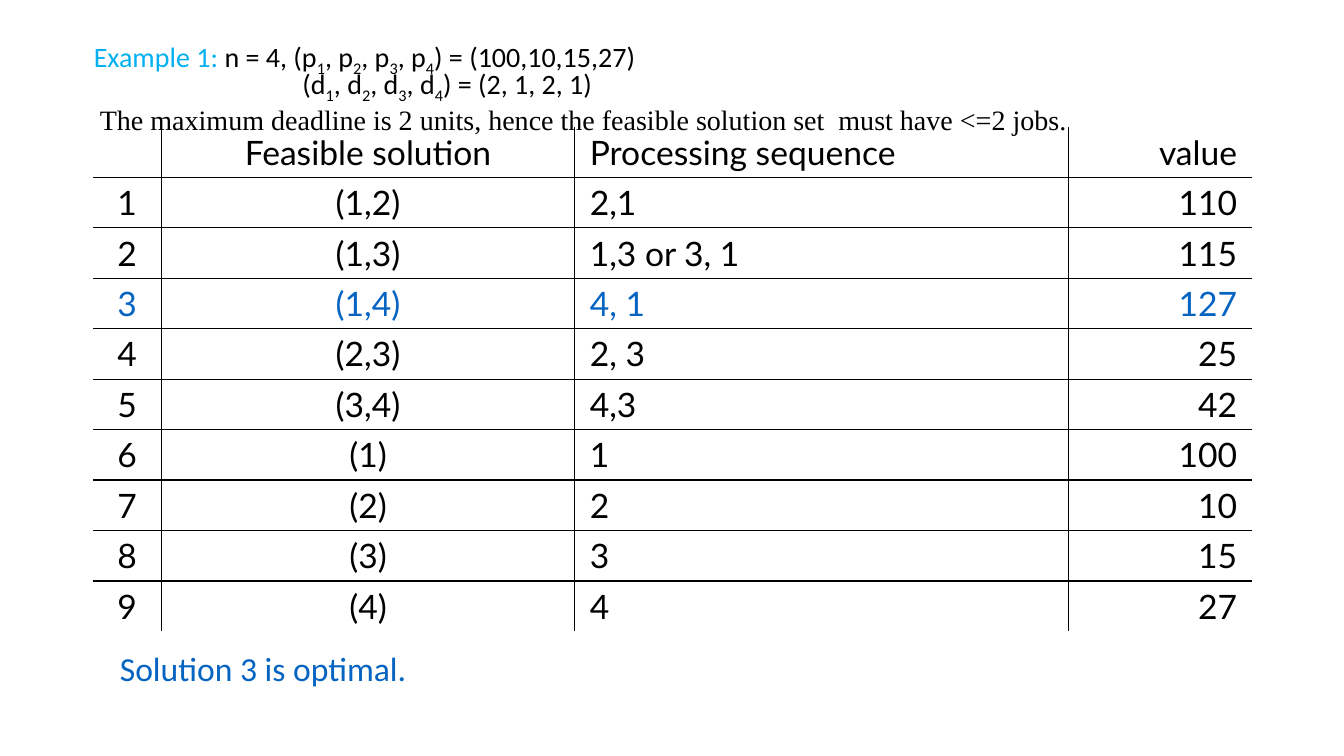
"""Job sequencing with deadlines: the feasible solutions of one example."""
from lxml import etree
from pptx import Presentation
from pptx.dml.color import RGBColor
from pptx.enum import text
from pptx.oxml import ns
from pptx.util import Inches, Pt

BLACK = RGBColor(0x00, 0x00, 0x00)
BLUE = RGBColor(0x05, 0x63, 0xC1)
CYAN = RGBColor(0x00, 0xB0, 0xF0)
ALIGN = text.PP_ALIGN
SIDES = [ALIGN.CENTER, ALIGN.CENTER, ALIGN.LEFT, ALIGN.RIGHT]
WIDTHS = [0.68, 4.1, 4.9, 1.82]
HIGH = 0.5
BEST = 3
HEAD = ["", "Feasible solution", "Processing sequence", "value"]
JOBS = [
    ("(1,2)", "2,1", 110),
    ("(1,3)", "1,3 or 3, 1", 115),
    ("(1,4)", "4, 1", 127),
    ("(2,3)", "2, 3", 25),
    ("(3,4)", "4,3", 42),
    ("(1)", "1", 100),
    ("(2)", "2", 10),
    ("(3)", "3", 15),
    ("(4)", "4", 27),
]


def style(item, form):
    for name, value in form.items():
        setattr(item, name, value)


def add_run(para, words, size, face, color):
    run = para.add_run()
    run.text = words
    style(run.font, {"size": Pt(size), "name": face})
    run.font.color.rgb = color
    return run


def add_math(para, words):
    first, *rest = words.split("_")
    add_run(para, first, 20, "Calibri", BLACK)
    for part in rest:
        sub = add_run(para, part[0], 20, "Calibri", BLACK)
        sub.font._element.set("baseline", "-25000")
        add_run(para, part[1:], 20, "Calibri", BLACK)


def set_para(para, left, form):
    props = para._p.get_or_add_pPr()
    props.set("marL", str(Inches(left)))
    props.set("indent", "0")
    style(para, form)
    etree.SubElement(props, ns.qn("a:buNone"))


def add_intro(slide):
    body = slide.placeholders[1]
    style(body, {"left": Inches(0.83), "top": Inches(0.11),
                 "width": Inches(11.38), "height": Inches(1.15)})
    frame = body.text_frame
    style(frame, {"margin_top": Inches(0.35), "word_wrap": True,
                  "auto_size": text.MSO_AUTO_SIZE.NONE,
                  "vertical_anchor": text.MSO_ANCHOR.TOP})
    gain, due, note = frame.paragraphs[0], frame.add_paragraph(), frame.add_paragraph()
    set_para(gain, 0, {"line_spacing": 0.7, "space_before": Pt(0)})
    set_para(due, 2.07, {"line_spacing": 0.7, "space_before": Pt(0)})
    set_para(note, 0.06, {"line_spacing": 0.6, "space_before": Pt(10)})
    add_run(gain, "Example 1: ", 20, "Calibri", CYAN)
    add_math(gain, "n = 4, (p_1, p_2, p_3, p_4) = (100,10,15,27)")
    add_math(due, "(d_1, d_2, d_3, d_4) = (2, 1, 2, 1)")
    add_run(note, "The maximum deadline is 2 units, hence the feasible "
            "solution set  must have <=2 jobs.", 20, "Times New Roman", BLACK)


def add_edge(cell, side, shown):
    props = cell._tc.get_or_add_tcPr()
    line = etree.SubElement(props, ns.qn("a:ln" + side), w=str(Pt(1)))
    if shown:
        fill = etree.SubElement(line, ns.qn("a:solidFill"))
        etree.SubElement(fill, ns.qn("a:srgbClr"), val=str(BLACK))
    else:
        etree.SubElement(line, ns.qn("a:noFill"))


def add_grid(slide, rows):
    last, end = len(rows) - 1, len(WIDTHS) - 1
    grid = slide.shapes.add_table(
        len(rows), len(WIDTHS), Inches(0.92), Inches(1.26),
        Inches(sum(WIDTHS)), Inches(HIGH * len(rows))).table
    style(grid, {"first_row": False, "horz_banding": False})
    for col, width in zip(grid.columns, WIDTHS):
        col.width = Inches(width)
    for r, row in enumerate(rows):
        for c, value in enumerate(row):
            cell = grid.cell(r, c)
            style(cell, {"margin_left": Inches(0.15), "margin_right": Inches(0.15),
                         "margin_top": Inches(0.05), "margin_bottom": Inches(0.05)})
            edges = {"L": c > 0, "R": c < end, "T": r > 0, "B": r < last}
            for side, shown in edges.items():
                add_edge(cell, side, shown)
            cell.fill.background()
            para = cell.text_frame.paragraphs[0]
            para.alignment = SIDES[c]
            if value != "":
                add_run(para, str(value), 24, "Lato", BLUE if r == BEST else BLACK)


def add_result(slide):
    box = slide.shapes.add_textbox(Inches(1.09), Inches(6.46), Inches(5.35), Inches(0.43))
    box.text_frame.word_wrap = True
    para = box.text_frame.paragraphs[0]
    para.line_spacing = 0.8
    add_run(para, f"Solution {BEST} is optimal.", 24, "Calibri", BLUE)


def main():
    deck = Presentation()
    style(deck, {"slide_width": Inches(13.33), "slide_height": Inches(7.5)})
    slide = deck.slides.add_slide(deck.slide_layouts[1])
    title = slide.shapes.title._element
    title.getparent().remove(title)
    add_grid(slide, [HEAD] + [(n, *job) for n, job in enumerate(JOBS, 1)])
    add_intro(slide)
    add_result(slide)
    deck.save("out.pptx")


main()
